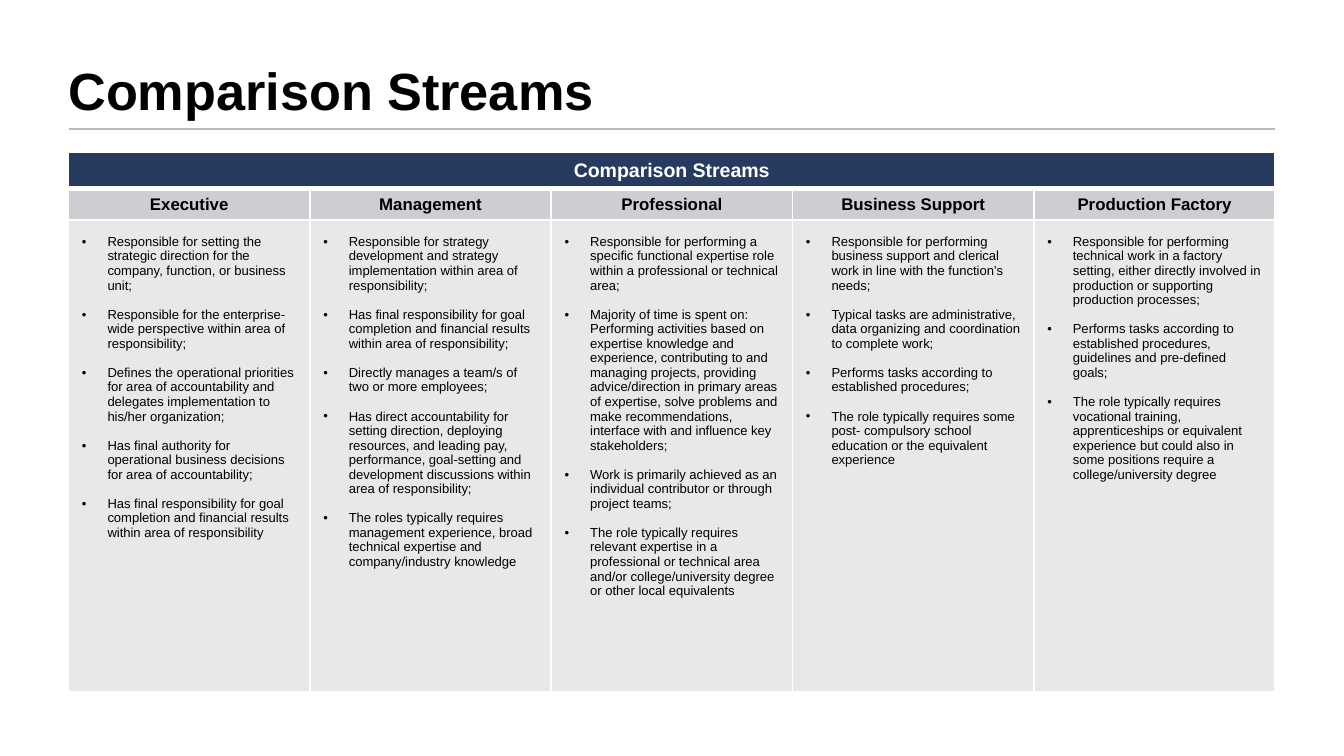
"""Build a one-slide comparison table of five job streams."""
from lxml.etree import SubElement
from pptx import Presentation
from pptx.dml.color import RGBColor
from pptx.enum.shapes import MSO_CONNECTOR as Connector
from pptx.enum.text import MSO_ANCHOR as Anchor, PP_ALIGN as Align
from pptx.oxml import parse_xml
from pptx.oxml.ns import nsdecls, qn
from pptx.util import Inches, Pt

TITLE = "Comparison Streams"
STREAMS = {
    "Executive": [
        "Responsible for setting the strategic direction for the company, function, or business unit;",
        "Responsible for the enterprise-wide perspective within area of responsibility;",
        "Defines the operational priorities for area of accountability and delegates "
        "implementation to his/her organization;",
        "Has final authority for operational business decisions for area of accountability;",
        "Has final responsibility for goal completion and financial results within area of responsibility",
    ],
    "Management": [
        "Responsible for strategy development and strategy implementation within area of responsibility;",
        "Has final responsibility for goal completion and financial results within area of responsibility;",
        "Directly manages a team/s of two or more employees;",
        "Has direct accountability for setting direction, deploying resources, and leading pay, "
        "performance, goal-setting and development discussions within area of responsibility;",
        "The roles typically requires management experience, broad technical expertise and "
        "company/industry knowledge",
    ],
    "Professional": [
        "Responsible for performing a specific functional expertise role within a professional "
        "or technical area;",
        "Majority of time is spent on: Performing activities based on expertise knowledge and "
        "experience, contributing to and managing projects, providing advice/direction in primary "
        "areas of expertise, solve problems and make recommendations, interface with and influence "
        "key stakeholders;",
        "Work is primarily achieved as an individual contributor or through project teams;",
        "The role typically requires relevant expertise in a professional or technical area and/or "
        "college/university degree or other local equivalents",
    ],
    "Business Support": [
        "Responsible for performing business support and clerical work in line with the function’s needs;",
        "Typical tasks are administrative, data organizing and coordination to complete work;",
        "Performs tasks according to established procedures;",
        "The role typically requires some post- compulsory school education or the equivalent experience",
    ],
    "Production Factory": [
        "Responsible for performing technical work in a factory setting, either directly involved in "
        "production or supporting production processes;",
        "Performs tasks according to established procedures, guidelines and pre-defined goals;",
        "The role typically requires vocational training, apprenticeships or equivalent experience "
        "but could also in some positions require a college/university degree",
    ],
}
COLORS = {"black": "000000", "white": "FFFFFF", "rule": "BCBAB9",
          "banner": "273A60", "header": "CDCED2", "body": "E8E8EA"}
LEFT, WIDTH = 0.51, 8.98
ROW_HEIGHTS = (0.22, 0.2, 3.51)


def color(name):
    return RGBColor.from_string(COLORS[name])


def write(frame, lines, size, bold=False, ink="black", align=Align.LEFT, bullet=False, gap=0):
    for index, line in enumerate(lines):
        para = frame.paragraphs[0] if index == 0 else frame.add_paragraph()
        para.alignment = align
        if index:
            para.space_before = Pt(gap)
        if bullet:
            props = para._p.get_or_add_pPr()
            props.set("marL", str(Inches(0.19)))
            props.set("indent", str(-Inches(0.19)))
            SubElement(props, qn("a:buFont")).set("typeface", "Arial")
            SubElement(props, qn("a:buChar")).set("char", "•")
        span = para.add_run()
        span.text = line
        span.font.name, span.font.size, span.font.bold = "Arial", Pt(size), bold
        span.font.color.rgb = color(ink)


def paint(cell, fill, bottom=1):
    cell.fill.solid()
    cell.fill.fore_color.rgb = color(fill)
    props = cell._tc.get_or_add_tcPr()
    for index, (side, width) in enumerate({"L": 1, "R": 1, "T": 1, "B": bottom}.items()):
        props.insert(index, parse_xml(
            f'<a:ln{side} {nsdecls("a")} w="{Pt(width)}"><a:solidFill>'
            f'<a:srgbClr val="{COLORS["white"]}"/></a:solidFill></a:ln{side}>'))


def add_title(slide):
    box = slide.shapes.add_textbox(Inches(LEFT), Inches(0.24), Inches(8.04), Inches(0.68))
    frame = box.text_frame
    frame.word_wrap = True
    frame.vertical_anchor = Anchor.BOTTOM
    frame.margin_left = frame.margin_right = frame.margin_top = 0
    frame.margin_bottom = Inches(0.02)
    write(frame, [TITLE], size=28, bold=True)
    rule = slide.shapes.add_connector(
        Connector.STRAIGHT, Inches(LEFT), Inches(0.96), Inches(LEFT + WIDTH), Inches(0.96))
    rule.line.color.rgb = color("rule")
    rule.line.width = Pt(1)
    SubElement(rule._element.spPr, qn("a:effectLst"))


def add_streams(slide):
    count = len(STREAMS)
    table = slide.shapes.add_table(len(ROW_HEIGHTS), count, Inches(LEFT), Inches(1.13),
                                   Inches(WIDTH), Inches(sum(ROW_HEIGHTS))).table
    table.first_row = table.horz_banding = False
    for row, height in zip(table.rows, ROW_HEIGHTS):
        row.height = Inches(height)
    banner = table.cell(0, 0)
    banner.merge(table.cell(0, count - 1))
    banner.vertical_anchor = Anchor.MIDDLE
    write(banner.text_frame, [TITLE], size=10.5, bold=True, ink="white", align=Align.CENTER)
    for index, (name, duties) in enumerate(STREAMS.items()):
        paint(table.cell(0, index), "banner", bottom=3)
        header, body = table.cell(1, index), table.cell(2, index)
        paint(header, "header")
        header.vertical_anchor = Anchor.MIDDLE
        header.margin_top = header.margin_bottom = Inches(0.04)
        write(header.text_frame, [name], size=9, bold=True, align=Align.CENTER)
        paint(body, "body")
        body.margin_top = Inches(0.11)
        write(body.text_frame, duties, size=7, bullet=True, gap=7.8)


def main():
    deck = Presentation()
    deck.slide_width = Inches(10)
    deck.slide_height = deck.slide_width * 9 // 16
    slide = deck.slides.add_slide(deck.slide_layouts[6])
    add_title(slide)
    add_streams(slide)
    deck.save("out.pptx")


if __name__ == "__main__":
    main()
